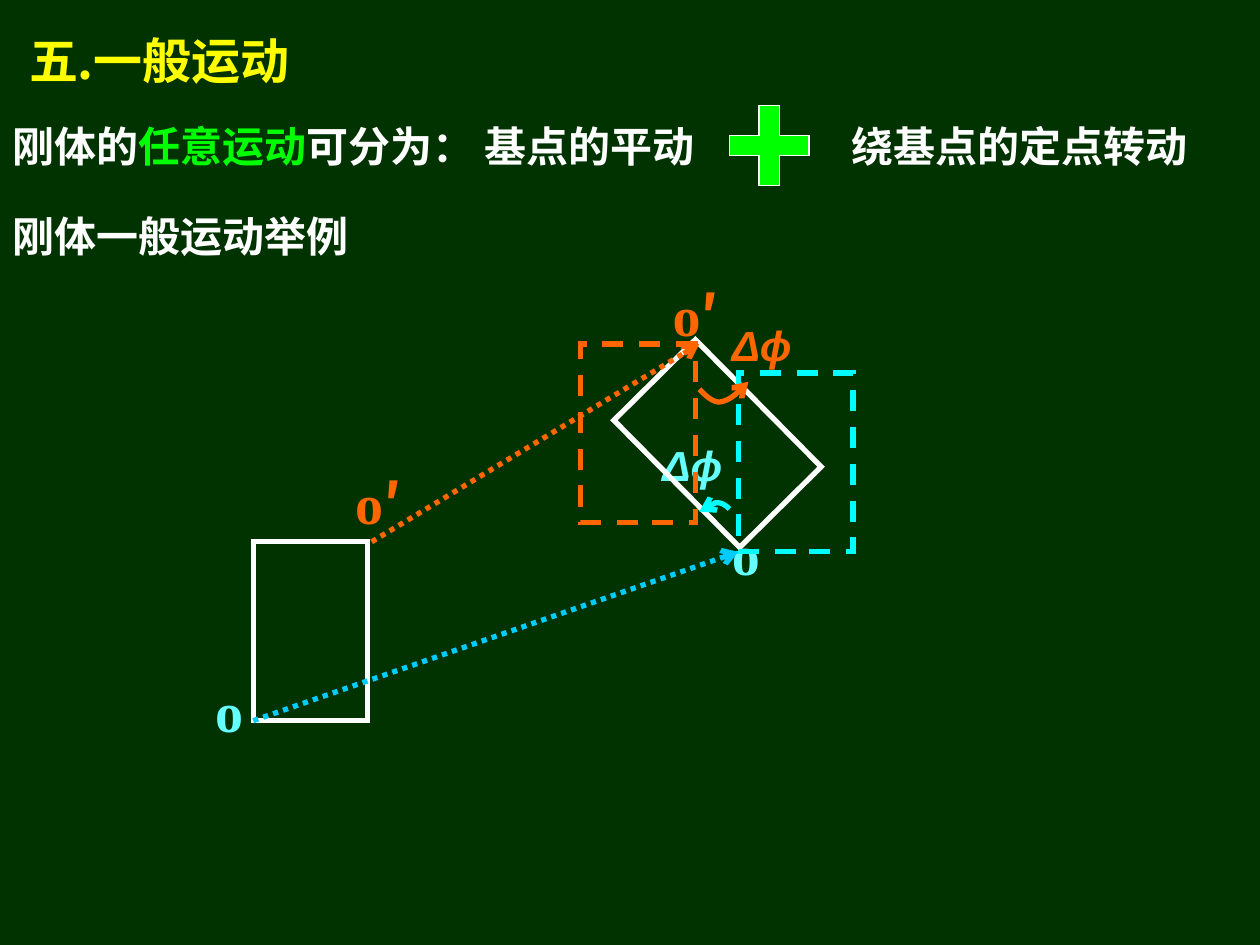
from lxml import etree
from pptx import Presentation
from pptx.dml.color import RGBColor
from pptx.enum import dml, shapes, text
from pptx.oxml import ns
from pptx.util import Inches, Pt

COLORS = {
    "board": "003300", "title": "FFFF00", "white": "FFFFFF", "green": "00FF00",
    "aqua": "66FFFF", "cyan": "00FFFF", "blue": "00CCFF", "orange": "FF6600",
}
CJK = "Noto Sans CJK SC"
SERIF = "Times New Roman"
SANS = "Arial"

HEADINGS = [
    ((-0.01, 0.19, 2.45, 0.57), [("五.一般运动", "title")], 28, CJK, "center", False),
    ((0, 0.91, 9.42, 0.5),
     [("刚体的", "white"), ("任意运动", "green"), ("可分为：", "white")],
     24, SERIF, "justify", True),
    ((6.66, 0.91, 2.86, 0.5), [("绕基点的定点转动", "white")], 24, SERIF, "left", False),
    ((3.75, 0.91, 1.86, 0.5), [("基点的平动", "white")], 24, SERIF, "left", False),
    ((0, 1.62, 3.92, 0.5), [("刚体一般运动举例", "white")], 24, SERIF, "justify", True),
]
POINT_LABELS = [
    ((1.61, 5.32, 0.6, 0.65), "o", "", "aqua"),
    ((2.72, 3.67, 0.92, 0.69), "o", "′", "orange"),
    ((5.71, 4.07, 0.51, 0.75), "o", "", "aqua"),
    ((5.24, 2.18, 1.23, 0.98), "o", "′", "orange"),
]
ANGLE_LABELS = [
    ((5.16, 3.44, 0.87, 0.47), "aqua"),
    ((5.71, 2.49, 0.83, 0.69), "orange"),
]
BODY_SIZE = (0.91, 1.42)
DASH = dml.MSO_LINE.DASH
DOT = dml.MSO_LINE.ROUND_DOT
BODIES = [
    ((2.01, 4.3), "white", None, 0),
    ((5.24, 2.81), "white", None, 315.3),
    ((5.86, 2.96), "cyan", DASH, 0),
    ((4.61, 2.73), "orange", DASH, 0),
]
TRANSLATIONS = [
    ((2.01, 5.72), (5.86, 4.38), "blue"),
    ((2.95, 4.3), (5.55, 2.73), "orange"),
]
ROTATIONS = [
    ([(5.79, 4.04), (5.76, 4.01), (5.73, 3.99), (5.69, 3.99),
      (5.65, 3.99), (5.6, 4.03), (5.55, 4.06)], "cyan"),
    ([(5.55, 3.09), (5.6, 3.14), (5.66, 3.2), (5.72, 3.19),
      (5.79, 3.18), (5.87, 3.11), (5.94, 3.03)], "orange"),
]
ALIGN = {
    "left": text.PP_ALIGN.LEFT,
    "center": text.PP_ALIGN.CENTER,
    "justify": text.PP_ALIGN.JUSTIFY,
}


def rgb(name):
    return RGBColor.from_string(COLORS[name])


def inches(values):
    return [Inches(value) for value in values]


def set_east_asian(properties):
    etree.SubElement(properties, ns.qn("a:ea"), typeface=CJK)


def add_text(slide, box, runs, size, font, align="justify", wrap=True,
             italic=None, grow=False):
    frame = slide.shapes.add_textbox(*inches(box)).text_frame
    if grow:
        frame.auto_size = text.MSO_AUTO_SIZE.SHAPE_TO_FIT_TEXT
    frame.word_wrap = wrap
    if not wrap:
        frame.margin_left = Inches(0.1)
        frame.margin_right = Inches(0)
    paragraph = frame.paragraphs[0]
    paragraph.alignment = ALIGN[align]
    paragraph.font.size = Pt(size)
    paragraph.font.name = font
    paragraph.font.bold = True
    paragraph.font.italic = italic
    for words, color in runs:
        run = paragraph.add_run()
        run.text = words
        run.font.color.rgb = rgb(color)
        if words == "′":
            run.font.name = CJK
        set_east_asian(run._r.get_or_add_rPr())


def style_line(shape, color, width=3, dash=None, arrow=False):
    shape.line.color.rgb = rgb(color)
    shape.line.width = Pt(width)
    if dash:
        shape.line.dash_style = dash
    outline = shape.line._get_or_add_ln()
    etree.SubElement(outline, ns.qn("a:miter"), lim="800000")
    if arrow:
        etree.SubElement(outline, ns.qn("a:tailEnd"), type="arrow")


def add_body(slide, corner, color, dash, angle):
    body = slide.shapes.add_shape(
        shapes.MSO_SHAPE.RECTANGLE, *inches(corner + BODY_SIZE))
    body.shadow.inherit = False
    body.fill.background()
    body.rotation = angle
    style_line(body, color, dash=dash)


def add_translation(slide, start, end, color):
    arrow = slide.shapes.add_connector(
        shapes.MSO_CONNECTOR.STRAIGHT, *inches(start + end))
    style_line(arrow, color, dash=DOT, arrow=True)
    etree.SubElement(arrow._element.spPr, ns.qn("a:effectLst"))


def bezier(points, t):
    weights = ((1 - t) ** 3, 3 * t * (1 - t) ** 2, 3 * t ** 2 * (1 - t), t ** 3)
    return tuple(sum(w * p[axis] for w, p in zip(weights, points)) for axis in (0, 1))


def add_rotation(slide, controls, color, steps=8):
    curve = [inches(bezier(controls[first:first + 4], step / steps))
             for first in range(0, len(controls) - 1, 3)
             for step in range(1, steps + 1)]
    builder = slide.shapes.build_freeform(*inches(controls[0]))
    builder.add_line_segments(curve, close=False)
    arc = builder.convert_to_shape()
    arc.shadow.inherit = False
    arc.fill.background()
    style_line(arc, color, arrow=True)


def main():
    deck = Presentation()
    deck.slide_width, deck.slide_height = inches((10, 7.5))
    slide = deck.slides.add_slide(deck.slide_layouts[6])
    slide.background.fill.solid()
    slide.background.fill.fore_color.rgb = rgb("board")

    for box, runs, size, font, align, wrap in HEADINGS:
        add_text(slide, box, runs, size, font, align, wrap, grow=True)

    plus = slide.shapes.add_shape(
        shapes.MSO_SHAPE.CROSS, *inches((5.79, 0.84, 0.63, 0.63)))
    plus.adjustments[0] = 0.37
    plus.shadow.inherit = False
    plus.fill.solid()
    plus.fill.fore_color.rgb = rgb("green")
    style_line(plus, "white", 0.75)

    for box, letter, prime, color in POINT_LABELS:
        runs = [(part, color) for part in (letter, prime) if part]
        add_text(slide, box, runs, 32, SERIF)
    for box, color in ANGLE_LABELS:
        add_text(slide, box, [("Δϕ", color)], 24, SANS, italic=True)
    for body in BODIES:
        add_body(slide, *body)
    for translation in TRANSLATIONS:
        add_translation(slide, *translation)
    for rotation in ROTATIONS:
        add_rotation(slide, *rotation)

    deck.save("out.pptx")


if __name__ == "__main__":
    main()
